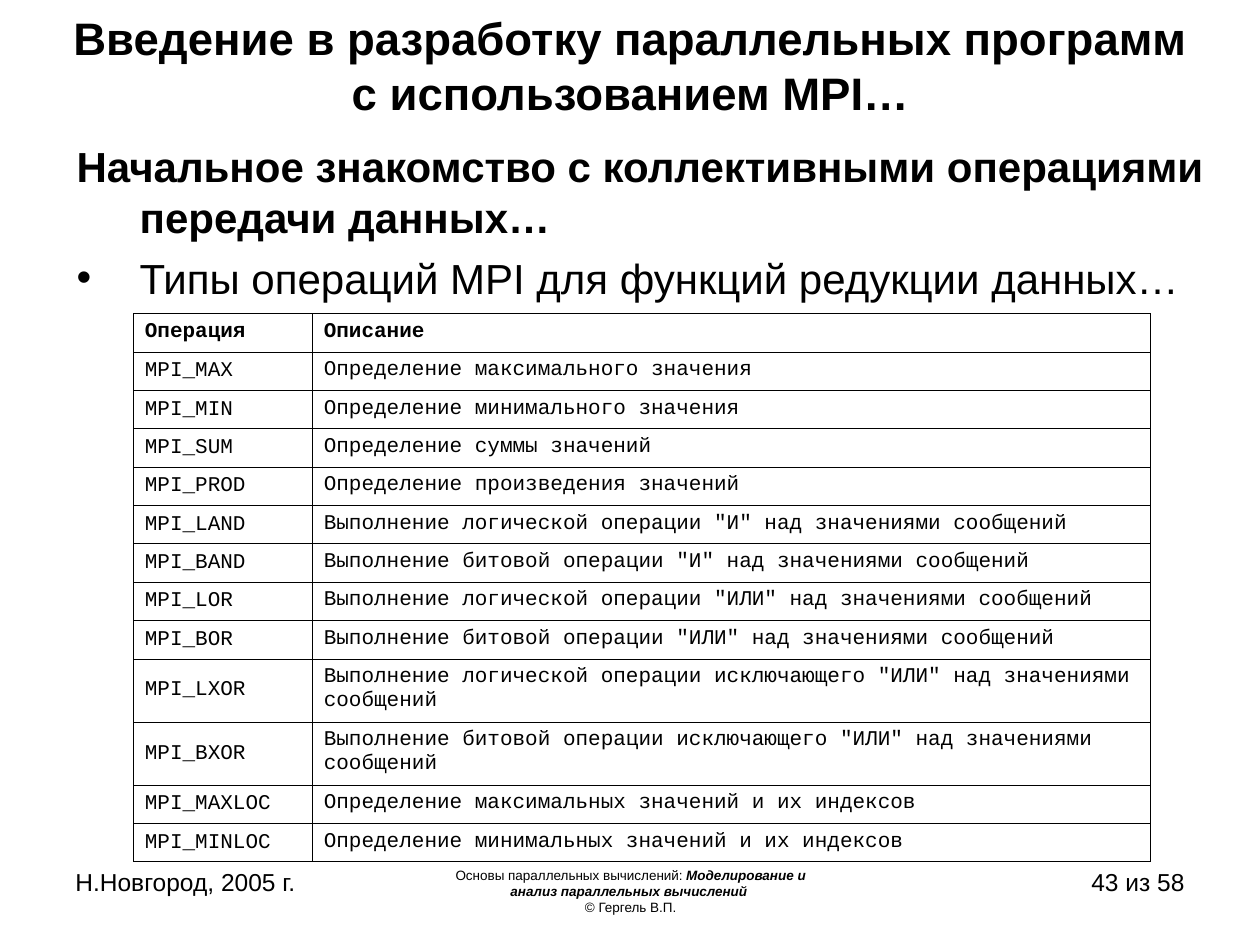
from dataclasses import dataclass
from typing import NamedTuple

from lxml.etree import SubElement
from pptx import Presentation
from pptx.dml.color import RGBColor
from pptx.enum.text import MSO_ANCHOR, PP_ALIGN
from pptx.oxml import parse_xml
from pptx.oxml.ns import nsdecls, qn
from pptx.util import Inches, Pt

SLIDE_WIDTH = Inches(10)
SLIDE_HEIGHT = Inches(7.5)


@dataclass(frozen=True)
class Theme:
    ink: str = "000000"
    paper: str = "FFFFFF"
    text_font: str = "Arial"
    code_font: str = "Courier New"
    title_size: float = 26
    body_size: float = 24
    footer_size: float = 14
    credit_size: float = 7.7
    table_size: float = 12
    border_width: float = 0.45


THEME = Theme()


class Frame(NamedTuple):
    left: float
    top: float
    width: float
    height: float

    def place(self, shape) -> None:
        shape.left, shape.top, shape.width, shape.height = self.lengths()

    def lengths(self) -> tuple:
        return (
            int(SLIDE_WIDTH * self.left / 100),
            int(SLIDE_HEIGHT * self.top / 100),
            int(SLIDE_WIDTH * self.width / 100),
            int(SLIDE_HEIGHT * self.height / 100),
        )


class TextRun(NamedTuple):
    text: str
    bold: bool = False
    italic: bool = False


class Footer(NamedTuple):
    left: float
    width: float
    alignment: PP_ALIGN
    size: float
    lines: tuple


class Operation(NamedTuple):
    name: str
    description: str
    lines: int = 1


TITLE_FRAME = Frame(4.2, 2.8, 91.7, 8.13)
BODY_FRAME = Frame(5.1, 14.27, 91.5, 18.93)
TABLE_FRAME = Frame(10.6, 33.2, 80.7, 58)
FOOTER_TOP, FOOTER_HEIGHT = 91.07, 6.93
NAME_COLUMN_SHARE = 0.176
TALL_ROW = Inches(0.5)

FOOTERS = (
    Footer(5, 23.3, PP_ALIGN.LEFT, THEME.footer_size,
           ((TextRun("Н.Новгород, 2005 г."),),)),
    Footer(34.2, 31.7, PP_ALIGN.CENTER, THEME.credit_size, (
        (TextRun("Основы параллельных вычислений: "),
         TextRun("Моделирование и анализ параллельных вычислений ", True, True)),
        (TextRun("© Гергель В.П."),),
    )),
    Footer(71.7, 23.3, PP_ALIGN.RIGHT, THEME.footer_size, ((TextRun("43 из 58"),),)),
)

OPERATIONS = (
    Operation("Операция", "Описание"),
    Operation("MPI_MAX", "Определение максимального значения"),
    Operation("MPI_MIN", "Определение минимального значения"),
    Operation("MPI_SUM", "Определение суммы значений"),
    Operation("MPI_PROD", "Определение произведения значений"),
    Operation("MPI_LAND", 'Выполнение логической операции "И" над значениями сообщений'),
    Operation("MPI_BAND", 'Выполнение битовой операции "И" над значениями сообщений'),
    Operation("MPI_LOR", 'Выполнение логической операции "ИЛИ" над значениями сообщений'),
    Operation("MPI_BOR", 'Выполнение битовой операции "ИЛИ" над значениями сообщений'),
    Operation("MPI_LXOR", 'Выполнение логической операции исключающего "ИЛИ" над значениями сообщений', 2),
    Operation("MPI_BXOR", 'Выполнение битовой операции исключающего "ИЛИ" над значениями сообщений', 2),
    Operation("MPI_MAXLOC", "Определение максимальных значений и их индексов"),
    Operation("MPI_MINLOC", "Определение минимальных значений и их индексов"),
)


def add_run(paragraph, content: TextRun, size: float, font_name: str = THEME.text_font) -> None:
    run = paragraph.add_run()
    run.text = content.text
    run.font.name = font_name
    run.font.size = Pt(size)
    run.font.bold = content.bold
    run.font.italic = content.italic
    run.font.color.rgb = RGBColor.from_string(THEME.ink)


def add_text_frame(slide, frame: Frame):
    text_frame = slide.shapes.add_textbox(*frame.lengths()).text_frame
    text_frame.word_wrap = True
    return text_frame


def draw_title(slide, text: str) -> None:
    title = slide.shapes.title
    TITLE_FRAME.place(title)
    title.text_frame.vertical_anchor = MSO_ANCHOR.MIDDLE
    paragraph = title.text_frame.paragraphs[0]
    paragraph.alignment = PP_ALIGN.CENTER
    add_run(paragraph, TextRun(text, bold=True), THEME.title_size)


def draw_body(slide, heading: str, item: str) -> None:
    text_frame = add_text_frame(slide, BODY_FRAME)
    paragraphs = (text_frame.paragraphs[0], text_frame.add_paragraph())
    for paragraph, content in zip(paragraphs, (TextRun(heading, bold=True), TextRun(item))):
        paragraph.space_before = Pt(6)
        add_run(paragraph, content, THEME.body_size)
        properties = paragraph._p.get_or_add_pPr()
        properties.set("marL", str(Inches(0.5)))
        properties.set("indent", str(-Inches(0.5)))
        if content.bold:
            SubElement(properties, qn("a:buNone"))
        else:
            SubElement(properties, qn("a:buFont"), typeface=THEME.text_font)
            SubElement(properties, qn("a:buChar"), char="•")


def draw_footer(slide, footer: Footer) -> None:
    frame = Frame(footer.left, FOOTER_TOP, footer.width, FOOTER_HEIGHT)
    paragraph = add_text_frame(slide, frame).paragraphs[0]
    paragraph.alignment = footer.alignment
    for index, line in enumerate(footer.lines):
        if index:
            paragraph.add_line_break()
        for content in line:
            add_run(paragraph, content, footer.size)


def draw_borders(cell) -> None:
    properties = cell._tc.get_or_add_tcPr()
    for position, side in enumerate(("lnL", "lnR", "lnT", "lnB")):
        border = parse_xml(
            f'<a:{side} {nsdecls("a")} w="{Pt(THEME.border_width)}"><a:solidFill>'
            f'<a:srgbClr val="{THEME.ink}"/></a:solidFill></a:{side}>'
        )
        properties.insert(position, border)


def fill_cell(cell, content: TextRun, is_name: bool) -> None:
    cell.fill.solid()
    cell.fill.fore_color.rgb = RGBColor.from_string(THEME.paper)
    cell.margin_left = cell.margin_right = Inches(0.09)
    cell.margin_top = cell.margin_bottom = Inches(0.05)
    centred = is_name and not content.bold
    cell.vertical_anchor = MSO_ANCHOR.MIDDLE if centred else MSO_ANCHOR.TOP
    paragraph = cell.text_frame.paragraphs[0]
    paragraph.alignment = PP_ALIGN.JUSTIFY if is_name or content.bold else PP_ALIGN.LEFT
    add_run(paragraph, content, THEME.table_size, THEME.code_font)
    draw_borders(cell)


def draw_operations(slide, operations: tuple) -> None:
    lengths = TABLE_FRAME.lengths()
    table = slide.shapes.add_table(len(operations), 2, *lengths).table
    table.horz_banding = False
    width, height = lengths[2:]
    table.columns[0].width = int(width * NAME_COLUMN_SHARE)
    table.columns[1].width = width - table.columns[0].width
    tall_count = sum(operation.lines > 1 for operation in operations)
    single_row = (height - tall_count * TALL_ROW) // (len(operations) - tall_count)
    for index, operation in enumerate(operations):
        table.rows[index].height = TALL_ROW if operation.lines > 1 else single_row
        for column, text in enumerate((operation.name, operation.description)):
            fill_cell(table.cell(index, column), TextRun(text, bold=index == 0), column == 0)


def main() -> None:
    presentation = Presentation()
    presentation.slide_width, presentation.slide_height = SLIDE_WIDTH, SLIDE_HEIGHT
    slide = presentation.slides.add_slide(presentation.slide_layouts.get_by_name("Title Only"))
    for footer in FOOTERS:
        draw_footer(slide, footer)
    draw_title(slide, "Введение в разработку параллельных программ с использованием MPI…")
    draw_body(slide, "Начальное знакомство с коллективными операциями передачи данных…",
              "Типы операций MPI для функций редукции данных…")
    draw_operations(slide, OPERATIONS)
    presentation.save("out.pptx")


if __name__ == "__main__":
    main()
